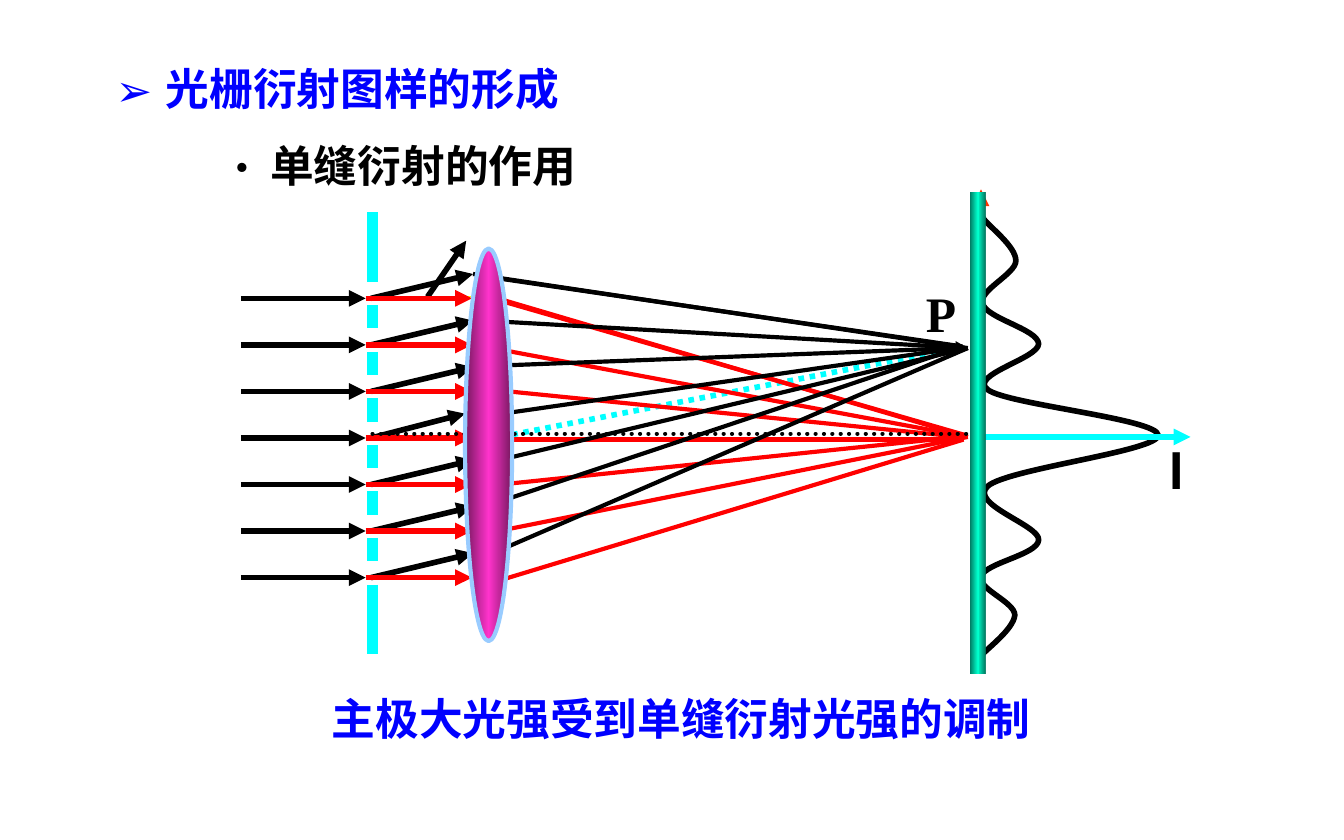
import pptx
import pptx.dml.color
import pptx.enum.dml
import pptx.enum.shapes
import pptx.enum.text
import pptx.oxml.ns
import pptx.util
import copy

Cm = pptx.util.Cm
Pt = pptx.util.Pt
RGBColor = pptx.dml.color.RGBColor
qn = pptx.oxml.ns.qn
PP_ALIGN = pptx.enum.text.PP_ALIGN
MSO_ANCHOR = pptx.enum.text.MSO_ANCHOR
MSO_SHAPE = pptx.enum.shapes.MSO_SHAPE
DOTTED = pptx.enum.dml.MSO_LINE.ROUND_DOT

BLACK = RGBColor(0x00, 0x00, 0x00)
BLUE = RGBColor(0x00, 0x00, 0xFF)
RED = RGBColor(0xFF, 0x00, 0x00)
ORANGE = RGBColor(0xFF, 0x33, 0x00)
YELLOW = RGBColor(0xFF, 0xFF, 0x00)
CYAN = RGBColor(0x00, 0xFF, 0xFF)
PALE_BLUE = RGBColor(0x99, 0xCC, 0xFF)
GREEN, DARK_GREEN = RGBColor(0x00, 0xFF, 0xCC), RGBColor(0x00, 0x76, 0x5E)
PINK, DARK_PINK = RGBColor(0xFF, 0x33, 0xCC), RGBColor(0x76, 0x18, 0x5E)
SERIF = "Times New Roman"
SANS = "Noto Sans CJK SC"
TEXT_SIZE = 23.33
LABEL_SIZE = 26.67

SLIT_COUNT = 7
SLIT_PITCH = 0.88
BEAM_ROWS = [5.64 + SLIT_PITCH * row for row in range(SLIT_COUNT)]
SLIT_CENTERS = [5.55 + SLIT_PITCH * row for row in range(SLIT_COUNT)]
GRATING_X = 7.04
AXIS_Y = 8.26
P_Y = 6.58

# Rays behind the lens: start x, start y, end x, end y
CENTRAL_RAYS = [(9.3, 5.61, 18.29, AXIS_Y), (9.3, 6.58, 18.29, AXIS_Y),
                (9.32, 7.37, 18.16, AXIS_Y), (9.47, 10.03, 18.29, AXIS_Y),
                (9.52, 10.95, 18.21, 8.31), (9.65, 9.14, 18.11, AXIS_Y),
                (9.47, 5.69, 18.26, 8.23)]
P_RAYS = [(8.94, 6.93, 18.11, P_Y), (8.94, 7.9, 18.11, P_Y), (8.76, 8.86, 18.29, P_Y),
          (8.94, 9.65, 18.11, P_Y), (8.94, 10.62, 18.29, P_Y), (8.94, 5.18, 18.29, P_Y),
          (9.19, 5.23, 18.19, 6.55)]

INTENSITY_START = (18.57, 4.11)
# Each row is one cubic curve: two control points and the end point
INTENSITY_CURVES = [
    ((18.67, 4.27), (19.2, 4.65), (19.2, 4.93)),
    ((19.2, 5.18), (18.49, 5.49), (18.57, 5.74)),
    ((18.64, 6.02), (19.61, 6.22), (19.63, 6.5)),
    ((19.63, 6.78), (18.29, 7.09), (18.67, 7.37)),
    ((19.05, 7.65), (21.89, 7.92), (21.89, 8.23)),
    ((21.89, 8.53), (19.05, 8.86), (18.67, 9.19)),
    ((18.29, 9.53), (19.66, 9.93), (19.63, 10.21)),
    ((19.61, 10.49), (18.62, 10.64), (18.54, 10.9)),
    ((18.47, 11.13), (19.18, 11.38), (19.18, 11.63)),
    ((19.15, 11.91), (18.64, 12.27), (18.49, 12.45)),
]


def append_element(parent, tag, **attributes):
    parent.append(parent.makeelement(qn(tag), attributes))


def add_line(slide, start, end, color, width=3, arrow=None, dash=None, cap=None):
    """Draw a straight line; arrow is "headEnd" (at start) or "tailEnd" (at end)."""
    connector = slide.shapes.add_connector(
        pptx.enum.shapes.MSO_CONNECTOR.STRAIGHT,
        Cm(start[0]), Cm(start[1]), Cm(end[0]), Cm(end[1]))
    connector.line.color.rgb = color
    connector.line.width = Pt(width)
    if dash is not None:
        connector.line.dash_style = dash
    properties = connector._element.spPr
    outline = properties.find(qn("a:ln"))
    if cap:
        outline.set("cap", cap)
    if arrow:
        append_element(outline, "a:" + arrow, type="triangle")
    append_element(properties, "a:effectLst")


def add_gradient_shape(slide, kind, box, edge, middle, outline=None):
    shape = slide.shapes.add_shape(kind, *[Cm(length) for length in box])
    shape.shadow.inherit = False
    shape.fill.gradient()
    shape.fill.gradient_angle = 0
    stop_list = shape._element.spPr.find(qn("a:gradFill")).find(qn("a:gsLst"))
    stop_list.insert(1, copy.deepcopy(stop_list[0]))
    for stop, position, color in zip(shape.fill.gradient_stops, (0, 0.5, 1), (edge, middle, edge)):
        stop.position = position
        stop.color.rgb = color
    if outline is None:
        shape.line.fill.background()
    else:
        shape.line.color.rgb = outline
        shape.line.width = Pt(2.25)


def add_intensity_curve(slide):
    """Outline all control points, then join every three of them into one cubic curve."""
    builder = slide.shapes.build_freeform(*[Cm(length) for length in INTENSITY_START])
    builder.add_line_segments(
        [(Cm(x), Cm(y)) for curve in INTENSITY_CURVES for x, y in curve], close=False)
    shape = builder.convert_to_shape()
    segments = list(shape._element.iter(qn("a:lnTo")))
    outline = segments[0].getparent()
    for first in range(0, len(segments), 3):
        curve = outline.makeelement(qn("a:cubicBezTo"), {})
        for segment in segments[first:first + 3]:
            curve.append(segment[0])
            outline.remove(segment)
        outline.append(curve)
    shape.shadow.inherit = False
    shape.fill.background()
    shape.line.color.rgb = BLACK
    shape.line.width = Pt(3)


def format_text(shape, box, text, size, font, color, bullet=None, wrap=True,
                alignment=PP_ALIGN.LEFT, anchor=MSO_ANCHOR.TOP):
    shape.left, shape.top, shape.width, shape.height = [Cm(length) for length in box]
    frame = shape.text_frame
    frame.text = text
    frame.word_wrap = wrap
    frame.auto_size = pptx.enum.text.MSO_AUTO_SIZE.SHAPE_TO_FIT_TEXT
    frame.vertical_anchor = anchor
    paragraph = frame.paragraphs[0]
    paragraph.alignment = alignment
    if bullet:
        properties = paragraph._p.get_or_add_pPr()
        properties.set("marL", str(Cm(0.95)))
        properties.set("indent", str(-Cm(0.95)))
        append_element(properties, "a:buFont", typeface=SANS)
        append_element(properties, "a:buChar", char=bullet)
    run = paragraph.runs[0]
    for name, value in {"size": Pt(size), "name": font, "bold": True}.items():
        setattr(run.font, name, value)
    run.font.color.rgb = color
    append_element(run._r.get_or_add_rPr(), "a:ea", typeface=SANS)


def add_text(slide, box, *content, **layout):
    shape = slide.shapes.add_textbox(*[Cm(length) for length in box])
    format_text(shape, box, *content, **layout)


def add_rays(slide):
    add_line(slide, (18.11, P_Y), (8.94, 8.36), CYAN, dash=DOTTED)
    add_line(slide, (8.08, 5.61), (8.81, 4.55), BLACK, arrow="tailEnd")
    add_line(slide, (7.37, 5.61), (8.92, 5.61), YELLOW, 0.75)
    for x, y, end_x, end_y in CENTRAL_RAYS:
        add_line(slide, (x, y), (end_x, end_y), RED, 2.25)
    add_line(slide, (9.32, 8.31), (18.16, 8.31), RED, 2.25, "tailEnd")
    for row, y in enumerate(BEAM_ROWS):
        end_x = 8.79 if row == SLIT_COUNT // 2 else 8.94
        add_line(slide, (7.01, y), (end_x, y - 0.46), BLACK, arrow="tailEnd")
    for y in BEAM_ROWS:
        add_line(slide, (6.91, y), (8.92, y), RED, arrow="tailEnd")
    add_line(slide, (8.94, 6.05), (18.29, P_Y), BLACK, 2.25, "tailEnd")
    for x, y, end_x, end_y in P_RAYS:
        add_line(slide, (x, y), (end_x, end_y), BLACK, 2.25)
    for y in BEAM_ROWS:
        add_line(slide, (4.55, y), (6.91, y), BLACK, arrow="tailEnd")


def add_grating(slide):
    half_slit = 0.22
    tops = [4.01] + [center + half_slit for center in SLIT_CENTERS]
    bottoms = [center - half_slit for center in SLIT_CENTERS] + [12.37]
    for top, bottom in zip(tops, bottoms):
        add_line(slide, (GRATING_X, top), (GRATING_X, bottom), CYAN, 6)


def main():
    presentation = pptx.Presentation()
    presentation.slide_width = Cm(25.4)
    presentation.slide_height = Cm(15.88)
    slide = presentation.slides.add_slide(presentation.slide_layouts[5])
    format_text(slide.shapes.title, (1.93, 1.04, 11.66, 1.24), "光栅衍射图样的形成",
                TEXT_SIZE, SERIF, BLUE, bullet="➢")
    add_rays(slide)
    add_line(slide, (18.54, 3.58), (18.54, 12.6), ORANGE, arrow="headEnd")
    add_intensity_curve(slide)
    add_line(slide, (18.54, AXIS_Y), (22.5, AXIS_Y), CYAN, arrow="tailEnd")
    add_text(slide, (21.74, 8.18, 0.99, 1.4), "I", LABEL_SIZE, SANS, BLACK, wrap=False,
             alignment=PP_ALIGN.CENTER, anchor=MSO_ANCHOR.MIDDLE)
    add_text(slide, (17.25, 5.23, 0.99, 1.4), "P", LABEL_SIZE, SERIF, BLACK)
    add_line(slide, (GRATING_X, 8.2), (18.6, 8.2), BLACK, 2.25, dash=DOTTED, cap="rnd")
    add_gradient_shape(slide, MSO_SHAPE.RECTANGLE, (18.33, 3.63, 0.3, 9.12), DARK_GREEN, GREEN)
    add_gradient_shape(slide, MSO_SHAPE.OVAL, (8.79, 4.7, 0.89, 7.42), DARK_PINK, PINK, PALE_BLUE)
    add_grating(slide)
    add_text(slide, (3.91, 2.51, 9.37, 1.24), "单缝衍射的作用", TEXT_SIZE, SERIF, BLACK, bullet="•")
    add_text(slide, (6.02, 12.95, 15.01, 1.24), "主极大光强受到单缝衍射光强的调制",
             TEXT_SIZE, SANS, BLUE)
    presentation.save("out.pptx")


if __name__ == "__main__":
    main()
